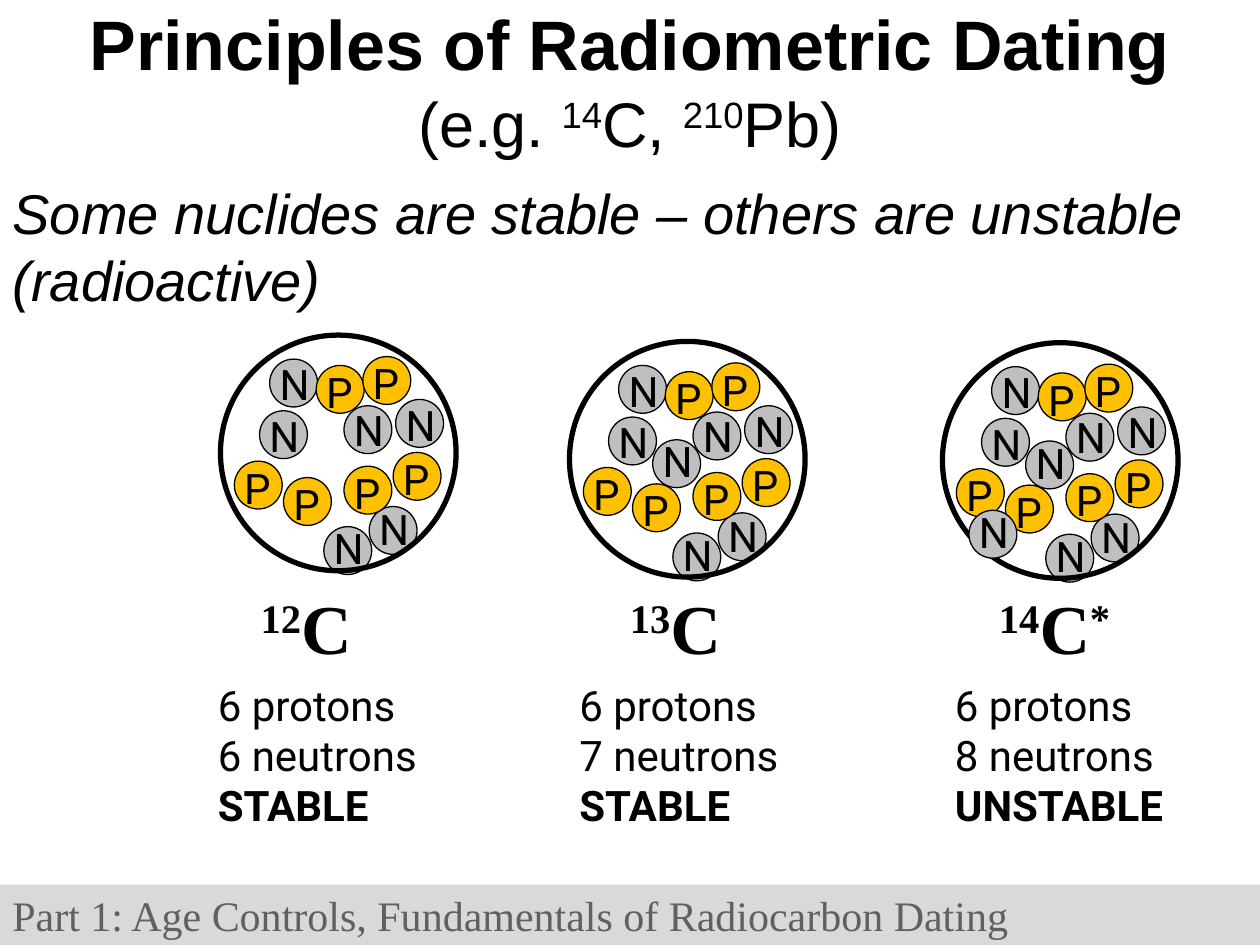
import pptx
from dataclasses import dataclass
from pptx.dml.color import RGBColor
from pptx.enum.shapes import MSO_SHAPE
from pptx.enum.text import MSO_ANCHOR, MSO_AUTO_SIZE, PP_ALIGN
from pptx.util import Inches, Pt


@dataclass(frozen=True)
class Theme:
    ink: str = "000000"
    proton: str = "FFC000"
    neutron: str = "BFBFBF"
    band: str = "D9D9D9"
    band_text: str = "606060"
    heading_font: str = "Arial"
    body_font: str = "Roboto"
    serif_font: str = "Times New Roman"
    heading: int = 40
    examples: int = 36
    statement: int = 32
    body: int = 24


THEME = Theme()
WIDTH, HEIGHT = 10, 7.5
RING, PARTICLE = 1.87, 0.38

STATEMENT = "Some nuclides are stable – others are unstable (radioactive)"
FOOTER = "Part 1: Age Controls, Fundamentals of Radiocarbon Dating"

# A span starting with "^" is superscript.
HEADING = ["Principles of Radiometric Dating"]
EXAMPLES = ["(e.g. ", "^14", "C, ", "^210", "Pb)"]

# Particle offsets from the corner of the ring; neutrons add the lift of their letter.
PROTONS = [(0.5, 1.13), (0.98, 1.04), (0.76, 0.24),
           (0.11, 1.0), (1.13, 0.17), (1.37, 0.93)]
NEUTRONS = [(0.39, 0.19, 0.05), (1.18, 1.36, 0.07), (0.82, 1.52, 0.08),
            (1.39, 0.51, 0.05), (0.31, 0.6, 0.05), (0.98, 0.56, 0.06)]
INNER, OUTER = (0.66, 0.78, 0.08), (0.21, 1.33, 0.08)

NUCLIDES = [
    dict(ring=(1.75, 2.66), extra=[], symbol=["^12", "C"], facts_left=1.63,
         facts_width=1.79, facts=["6 protons", "6 neutrons", "STABLE"]),
    dict(ring=(4.52, 2.71), extra=[INNER], symbol=["^13", "C"], facts_left=4.5,
         facts_width=1.79, facts=["6 protons", "7 neutrons", "STABLE"]),
    dict(ring=(7.48, 2.72), extra=[INNER, OUTER], symbol=["^14", "C", "^*"], facts_left=7.48,
         facts_width=2.01, facts=["6 protons", "8 neutrons", "UNSTABLE"]),
]
SYMBOL_LEFT, SYMBOL_STEP = 1.97, 2.93


def style(para, font, size, color=THEME.ink, bold=False, italic=False):
    para.font.name, para.font.size = font, Pt(size)
    para.font.bold, para.font.italic = bold, italic
    para.font.color.rgb = RGBColor.from_string(color)


def write(para, spans):
    for text in spans:
        span = para.add_run()
        span.text = text.removeprefix("^")
        if text.startswith("^"):
            span.font._element.set("baseline", "30000")


def add_text(page, left, top, width, height, wrap=True):
    box = page.shapes.add_textbox(*map(Inches, (left, top, width, height)))
    box.text_frame.word_wrap = wrap
    return box.text_frame


def add_shape(page, kind, left, top, width, height, fill=None, line=None):
    shape = page.shapes.add_shape(kind, *map(Inches, (left, top, width, height)))
    shape.shadow.inherit = False
    if fill:
        shape.fill.solid()
        shape.fill.fore_color.rgb = RGBColor.from_string(fill)
    else:
        shape.fill.background()
    if line:
        shape.line.color.rgb = RGBColor.from_string(THEME.ink)
        shape.line.width = Pt(line)
    else:
        shape.line.fill.background()
    return shape


def add_particle(page, left, top, fill):
    add_shape(page, MSO_SHAPE.OVAL, left, top, PARTICLE, PARTICLE, fill, 0.75)


def add_letter(page, letter, left, top, width):
    para = add_text(page, left - 0.02, top, width, 0.5, wrap=False).paragraphs[0]
    para.text = letter
    style(para, THEME.body_font, THEME.body)


def add_nucleus(page, left, top, extra):
    """Draw the shared neutrons behind the ring, the other particles over it."""
    for x, y, _ in NEUTRONS:
        add_particle(page, left + x, top + y, THEME.neutron)
    add_shape(page, MSO_SHAPE.OVAL, left, top, RING, RING, line=3)
    for x, y in PROTONS:
        add_particle(page, left + x, top + y, THEME.proton)
        add_letter(page, "P", left + x, top + y - 0.04, 0.43)
    for x, y, lift in NEUTRONS:
        add_letter(page, "N", left + x, top + y - lift, 0.45)
    for x, y, lift in extra:
        add_particle(page, left + x, top + y, THEME.neutron)
        add_letter(page, "N", left + x, top + y - lift, 0.45)


def add_footer(page):
    band = add_shape(page, MSO_SHAPE.RECTANGLE, 0, HEIGHT - 0.48, WIDTH, 0.48, THEME.band)
    band.text_frame.vertical_anchor = MSO_ANCHOR.MIDDLE
    para = band.text_frame.paragraphs[0]
    para.text, para.alignment = FOOTER, PP_ALIGN.LEFT
    style(para, THEME.serif_font, THEME.body, THEME.band_text)


def add_statement(page):
    title = page.shapes.title
    title.left, title.top, title.width, title.height = map(Inches, (0, 1.16, WIDTH, 1.58))
    frame = title.text_frame
    frame.auto_size = MSO_AUTO_SIZE.NONE
    frame.word_wrap = True
    frame.vertical_anchor = MSO_ANCHOR.MIDDLE
    para = frame.paragraphs[0]
    para.text, para.alignment = STATEMENT, PP_ALIGN.LEFT
    style(para, THEME.heading_font, THEME.statement, italic=True)


def add_heading(page):
    frame = add_text(page, 0, 0, WIDTH, 1.27)
    frame.vertical_anchor = MSO_ANCHOR.MIDDLE
    lines = [(frame.paragraphs[0], HEADING, THEME.heading, True),
             (frame.add_paragraph(), EXAMPLES, THEME.examples, False)]
    for para, spans, size, bold in lines:
        write(para, spans)
        para.alignment = PP_ALIGN.CENTER
        style(para, THEME.heading_font, size, bold=bold)


def add_captions(page, column, nuclide):
    left = SYMBOL_LEFT + column * SYMBOL_STEP
    symbol = add_text(page, left, 4.59, 1.38, 0.77).paragraphs[0]
    write(symbol, nuclide["symbol"])
    style(symbol, THEME.serif_font, THEME.heading, bold=True)

    facts = nuclide["facts"]
    frame = add_text(page, nuclide["facts_left"], 5.34, nuclide["facts_width"], 1.31, wrap=False)
    frame.auto_size = MSO_AUTO_SIZE.SHAPE_TO_FIT_TEXT
    frame.text = "\n".join(facts)
    for para, fact in zip(frame.paragraphs, facts):
        style(para, THEME.body_font, THEME.body, bold=fact == facts[-1])


def main():
    deck = pptx.Presentation()
    deck.slide_width, deck.slide_height = Inches(WIDTH), Inches(HEIGHT)
    page = deck.slides.add_slide(deck.slide_layouts[5])
    add_footer(page)
    add_statement(page)
    for nuclide in NUCLIDES:
        add_nucleus(page, *nuclide["ring"], nuclide["extra"])
    for column, nuclide in enumerate(NUCLIDES):
        add_captions(page, column, nuclide)
    add_heading(page)
    deck.save("out.pptx")


if __name__ == "__main__":
    main()
